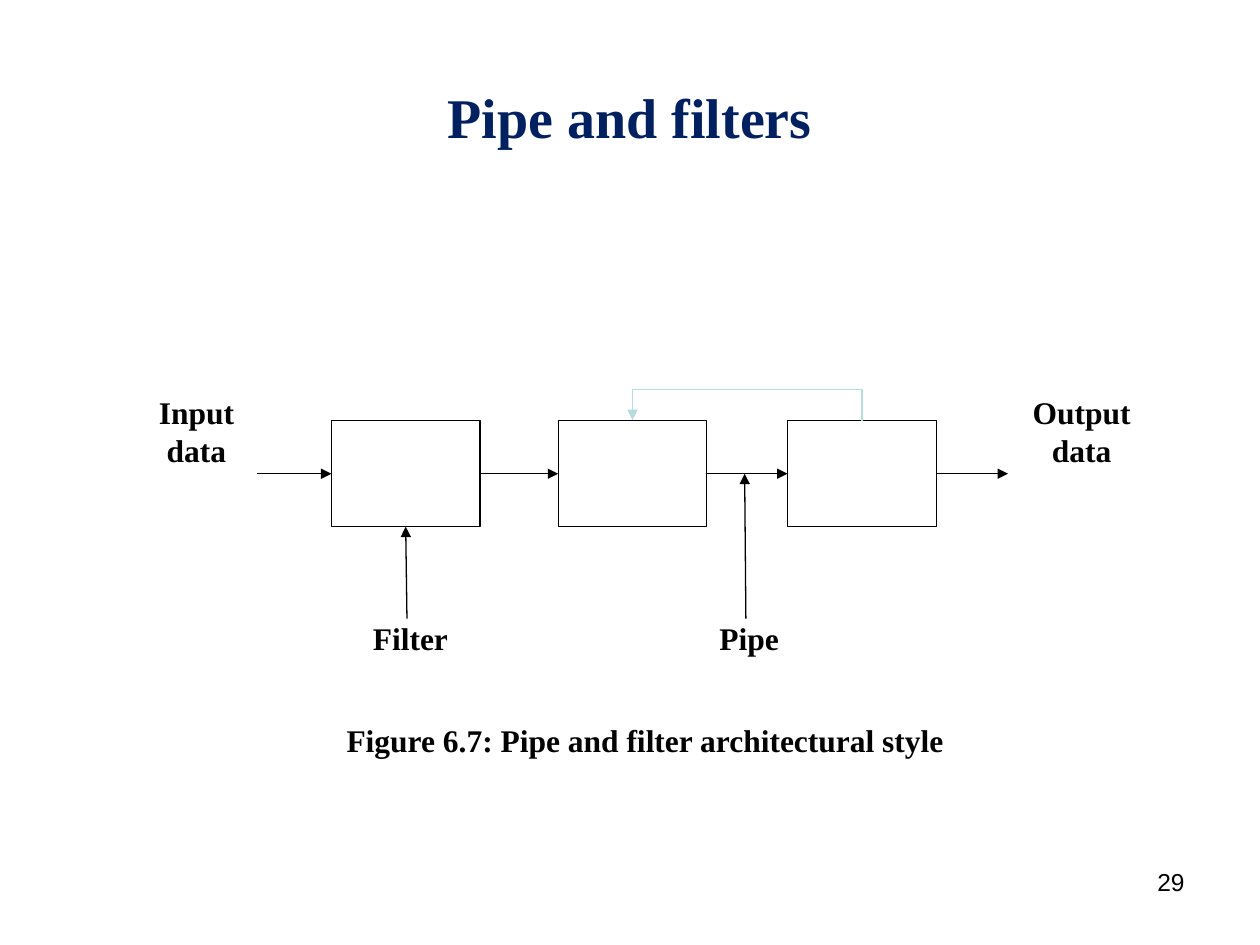
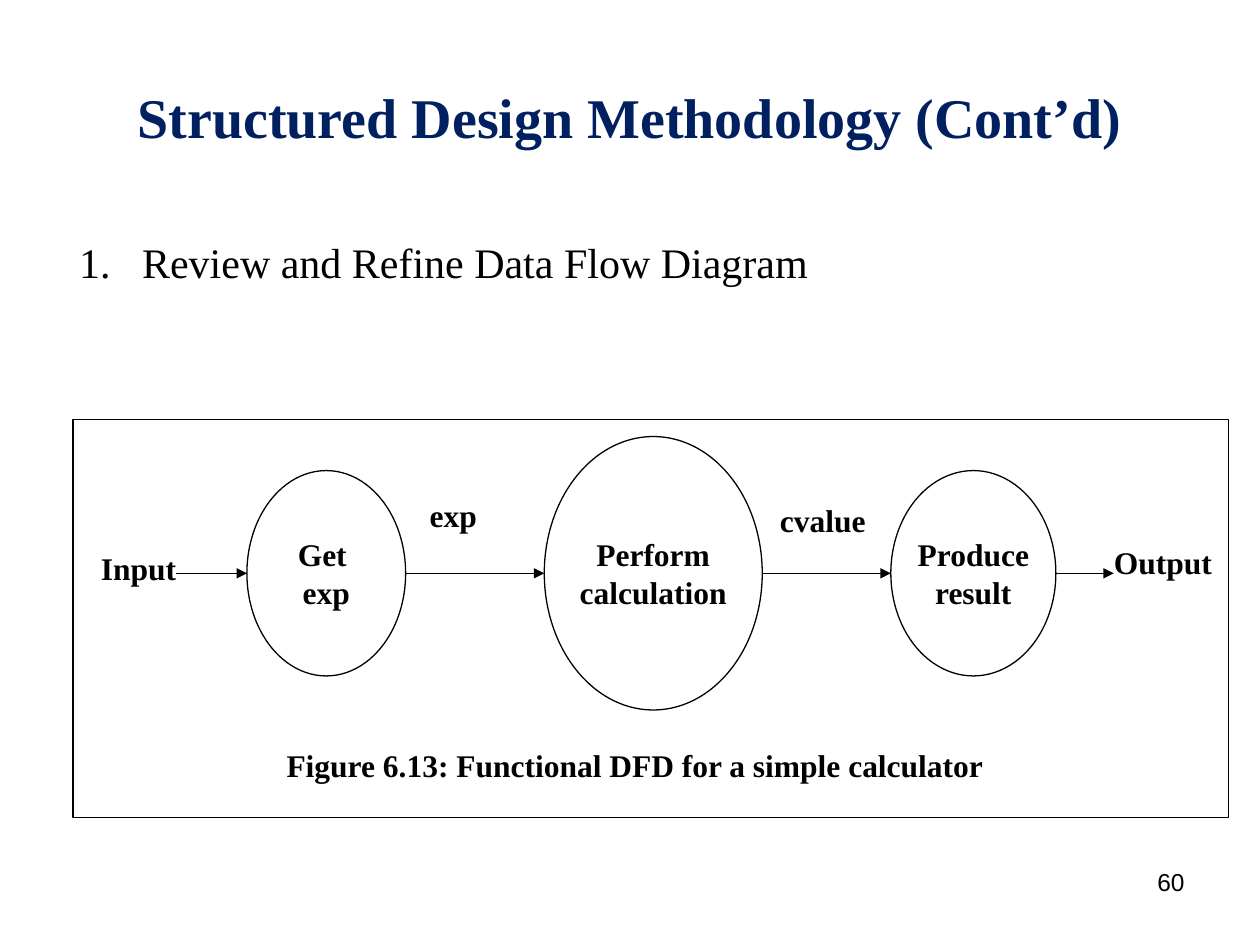
from dataclasses import dataclass
from typing import Optional

from lxml.etree import SubElement
from pptx import Presentation
from pptx.dml.color import RGBColor
from pptx.enum.shapes import MSO_CONNECTOR, MSO_SHAPE
from pptx.enum.text import MSO_ANCHOR, MSO_AUTO_SIZE, PP_ALIGN
from pptx.oxml.ns import qn
from pptx.presentation import Presentation as Deck
from pptx.shapes.autoshape import Shape
from pptx.shapes.connector import Connector
from pptx.slide import Slide
from pptx.text.text import TextFrame
from pptx.util import Inches, Pt


@dataclass(frozen=True)
class Theme:
    serif: str = "Times New Roman"
    sans: str = "Arial"
    navy: RGBColor = RGBColor(0x00, 0x20, 0x60)
    black: RGBColor = RGBColor(0x00, 0x00, 0x00)
    white: RGBColor = RGBColor(0xFF, 0xFF, 0xFF)
    feedback: RGBColor = RGBColor(0xB6, 0xDC, 0xDF)
    title_size: int = 32
    item_size: int = 24
    label_size: int = 18
    number_size: int = 14
    line_width: float = 0.75


THEME = Theme()
TOP, LEFT, BOTTOM, RIGHT = range(4)


@dataclass(frozen=True)
class TextStyle:
    size: int
    font: str = THEME.serif
    color: RGBColor = THEME.black
    bold: bool = False
    align: PP_ALIGN = PP_ALIGN.LEFT


TITLE = TextStyle(THEME.title_size, color=THEME.navy, bold=True, align=PP_ALIGN.CENTER)
ITEM = TextStyle(THEME.item_size)
NUMBER = TextStyle(THEME.number_size, font=THEME.sans, align=PP_ALIGN.RIGHT)
LABEL = TextStyle(THEME.label_size, bold=True)
CENTERED = TextStyle(THEME.label_size, bold=True, align=PP_ALIGN.CENTER)


@dataclass(frozen=True)
class Box:
    x: float
    y: float
    w: float
    h: float
    text: str = ""
    style: TextStyle = LABEL
    kind: MSO_SHAPE = MSO_SHAPE.RECTANGLE
    line: RGBColor = THEME.white
    anchor: MSO_ANCHOR = MSO_ANCHOR.TOP


@dataclass(frozen=True)
class Joint:
    shape: Shape
    side: int


@dataclass(frozen=True)
class Arrow:
    x1: float
    y1: float
    x2: float
    y2: float
    start: Optional[Joint] = None
    end: Optional[Joint] = None


def write(tf: TextFrame, text: str, style: TextStyle) -> None:
    for i, line in enumerate(text.split("\n")):
        p = tf.add_paragraph() if i else tf.paragraphs[0]
        p.alignment = style.align
        r = p.add_run()
        r.text = line
        r.font.name = style.font
        r.font.size = Pt(style.size)
        r.font.bold = style.bold
        r.font.color.rgb = style.color


def add_box(s: Slide, box: Box) -> Shape:
    sp = s.shapes.add_shape(
        box.kind, Inches(box.x), Inches(box.y), Inches(box.w), Inches(box.h)
    )
    sp.shadow.inherit = False
    sp.fill.solid()
    sp.fill.fore_color.rgb = THEME.white
    sp.line.color.rgb = box.line
    sp.line.width = Pt(THEME.line_width)
    if box.text:
        tf = sp.text_frame
        tf.word_wrap = True
        tf.vertical_anchor = box.anchor
        tf.margin_left = tf.margin_right = tf.margin_top = tf.margin_bottom = 0
        write(tf, box.text, box.style)
    return sp


def style_arrow(cxn: Connector, color: RGBColor) -> None:
    cxn.line.color.rgb = color
    cxn.line.width = Pt(THEME.line_width)
    SubElement(cxn.line._get_or_add_ln(), qn("a:tailEnd"), type="triangle")
    SubElement(cxn._element.spPr, qn("a:effectLst"))


def add_arrow(s: Slide, arrow: Arrow) -> None:
    cxn = s.shapes.add_connector(
        MSO_CONNECTOR.STRAIGHT,
        Inches(arrow.x1), Inches(arrow.y1), Inches(arrow.x2), Inches(arrow.y2),
    )
    if arrow.start:
        cxn.begin_connect(arrow.start.shape, arrow.start.side)
    if arrow.end:
        cxn.end_connect(arrow.end.shape, arrow.end.side)
    style_arrow(cxn, THEME.black)


def add_feedback(s: Slide, x_from: float, x_to: float, y: float, rise: float) -> None:
    mid, half, thin = (x_from + x_to) / 2, (x_from - x_to) / 2, 0.01
    cxn = s.shapes.add_connector(
        MSO_CONNECTOR.ELBOW,
        Inches(mid - thin / 2), Inches(y + half), Inches(mid + thin / 2), Inches(y - half),
    )
    spPr = cxn._element.spPr
    spPr.find(qn("a:xfrm")).set("rot", str(270 * 60000))
    guides = spPr.find(qn("a:prstGeom")).find(qn("a:avLst"))
    SubElement(guides, qn("a:gd"), name="adj1", fmla=f"val {round(rise / thin * 100000)}")
    style_arrow(cxn, THEME.feedback)


def add_item(s: Slide, text: str) -> None:
    sp = s.shapes.add_textbox(Inches(0.53), Inches(1.83), Inches(6.07), Inches(0.5))
    tf = sp.text_frame
    tf.word_wrap = False
    tf.auto_size = MSO_AUTO_SIZE.SHAPE_TO_FIT_TEXT
    pPr = tf.paragraphs[0]._p.get_or_add_pPr()
    pPr.set("marL", str(Inches(0.5)))
    pPr.set("indent", str(-Inches(0.5)))
    SubElement(SubElement(pPr, qn("a:buClr")), qn("a:srgbClr"), val=str(THEME.black))
    SubElement(pPr, qn("a:buAutoNum"), type="arabicPeriod")
    write(tf, text, ITEM)


def add_slide(prs: Deck, title: str, number: int) -> Slide:
    s = prs.slides.add_slide(prs.slide_layouts[5])
    sp = s.shapes.title
    sp.left, sp.top, sp.width, sp.height = Inches(0.5), Inches(0.3), Inches(9), Inches(1.25)
    sp.text_frame.vertical_anchor = MSO_ANCHOR.MIDDLE
    write(sp.text_frame, title, TITLE)
    sp = s.shapes.add_textbox(Inches(7.17), Inches(6.83), Inches(2.33), Inches(0.52))
    sp.text_frame.word_wrap = True
    write(sp.text_frame, str(number), NUMBER)
    return s


def build_pipes(prs: Deck) -> None:
    s = add_slide(prs, "Pipe and filters", 29)
    top, width, height = 3.34, 1.18, 0.84
    flow_y = top + height / 2
    filters = [
        add_box(s, Box(x, top, width, height, kind=MSO_SHAPE.FLOWCHART_PROCESS, line=THEME.black))
        for x in (2.63, 4.43, 6.25)
    ]
    source = add_box(s, Box(1.08, 3.12, 0.96, 1.28, "Input data", CENTERED))
    sink = add_box(s, Box(8, 3.12, 1.17, 1.28, "Output data", CENTERED))
    for box in (
        Box(2.96, 4.91, 1.04, 0.58, "Filter"),
        Box(5.71, 4.91, 0.96, 0.56, "Pipe"),
        Box(2.75, 5.72, 5.92, 0.53, "Figure 6.7: Pipe and filter architectural style"),
    ):
        add_box(s, box)

    stages = [source, *filters, sink]
    for a, b in zip(stages, stages[1:]):
        add_arrow(s, Arrow(0, 0, 0, 0, Joint(a, RIGHT), Joint(b, LEFT)))
    add_arrow(s, Arrow(3.23, 4.91, 3.22, top + height, end=Joint(filters[0], BOTTOM)))
    add_arrow(s, Arrow(5.92, 4.91, 5.91, flow_y))
    add_feedback(s, 6.25 + width / 2, 4.43 + width / 2, top, 0.26)


def build_calculator(prs: Deck) -> None:
    s = add_slide(prs, "Structured Design Methodology (Cont’d)", 60)
    add_box(s, Box(0.58, 3.33, 9.17, 3.16, line=THEME.black))
    flow_y = 4.55
    processes = [
        Box(x, flow_y - h / 2, w, h, text, CENTERED, MSO_SHAPE.OVAL, THEME.black, MSO_ANCHOR.MIDDLE)
        for x, w, h, text in (
            (1.96, 1.26, 1.63, "Get \nexp"),
            (4.32, 1.73, 2.17, "Perform calculation"),
            (7.07, 1.31, 1.63, "Produce result"),
        )
    ]
    for process in processes:
        add_box(s, process)
    source = add_box(s, Box(0.8, 4.36, 0.6, 0.38, "Input"))
    for box in (
        Box(8.84, 4.31, 0.79, 0.42, "Output"),
        Box(2.13, 5.92, 5.82, 0.38, "Figure 6.13: Functional DFD for a simple calculator", CENTERED),
        Box(3.41, 3.94, 0.6, 0.38, "exp"),
        Box(6.19, 3.98, 0.74, 0.33, "cvalue"),
    ):
        add_box(s, box)

    starts = [1.4] + [process.x + process.w for process in processes]
    ends = [process.x for process in processes] + [8.84]
    joints = [Joint(source, RIGHT), None, None, None]
    for start, end, joint in zip(starts, ends, joints):
        add_arrow(s, Arrow(start, flow_y, end, flow_y, joint))
    add_item(s, "Review and Refine Data Flow Diagram")


def main() -> None:
    prs = Presentation()
    prs.slide_width, prs.slide_height = Inches(10), Inches(7.5)
    build_pipes(prs)
    build_calculator(prs)
    prs.save("out.pptx")


if __name__ == "__main__":
    main()
